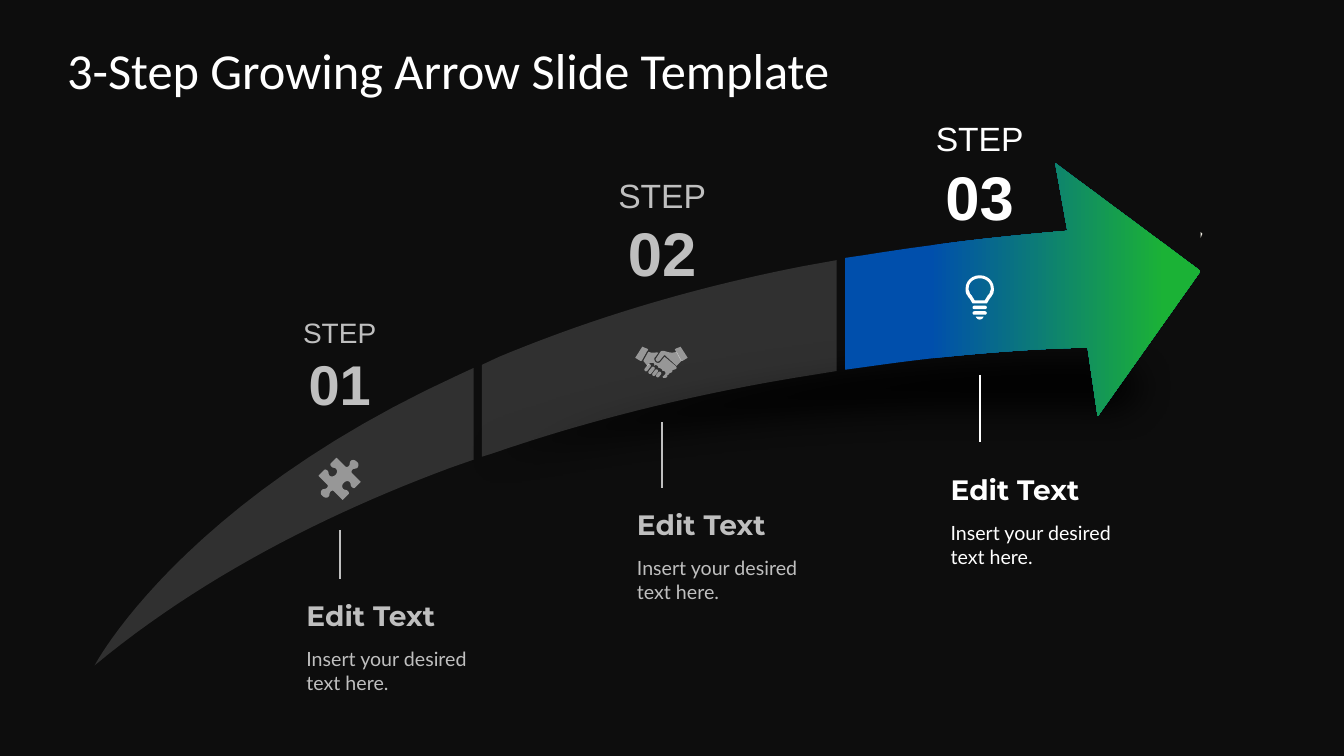
from lxml import etree
from pptx import Presentation
from pptx.dml.color import RGBColor
from pptx.enum.shapes import MSO_CONNECTOR, MSO_SHAPE
from pptx.enum.text import MSO_ANCHOR as ANCHOR, MSO_AUTO_SIZE as AUTO, PP_ALIGN as ALIGN
from pptx.oxml.ns import qn
from pptx.util import Pt

BACKGROUND = RGBColor(0x0D, 0x0D, 0x0D)
BLACK = RGBColor(0x00, 0x00, 0x00)
WHITE = RGBColor(0xFF, 0xFF, 0xFF)
GRAY = RGBColor(0xBF, 0xBF, 0xBF)
CREAM = RGBColor(0xEE, 0xEC, 0xE1)
BLUE = RGBColor(0x00, 0x4F, 0xAC)
GREEN = RGBColor(0x1B, 0xB2, 0x36)


def flatten(*segments):
    """Turn (x, y) points and (x1, y1, x2, y2, x, y) Bezier curves into points."""
    points = []
    for seg in segments:
        if len(seg) == 2:
            points.append(seg)
            continue
        x0, y0 = points[-1]
        x1, y1, x2, y2, x3, y3 = seg
        steps = 24 if abs(x3 - x0) > 40 else 6
        for i in range(1, steps + 1):
            t = i / steps
            u = 1 - t
            a, b, c, d = u ** 3, 3 * u * u * t, 3 * u * t * t, t ** 3
            points.append((a * x0 + b * x1 + c * x2 + d * x3,
                           a * y0 + b * y1 + c * y2 + d * y3))
    return points


def paint(sp, color, opacity):
    """Fill with one colour, or with a gradient for a list of two colours."""
    sp.shadow.inherit = False
    sp.line.fill.background()
    if isinstance(color, list):
        sp.fill.gradient()
        sp.fill.gradient_angle = 0
        for stop, position, c in zip(sp.fill.gradient_stops, (0.24, 0.9), color):
            stop.position = position
            stop.color.rgb = c
        return
    sp.fill.solid()
    sp.fill.fore_color.rgb = color
    if opacity < 100:
        rgb = sp._element.spPr.find(".//" + qn("a:srgbClr"))
        etree.SubElement(rgb, qn("a:alpha"), val=str(opacity * 1000))


prs = Presentation()
prs.slide_width, prs.slide_height = Pt(960), Pt(540)
slide = prs.slides.add_slide(prs.slide_layouts[5])
slide.background.fill.solid()
slide.background.fill.fore_color.rgb = BACKGROUND
shapes = slide.shapes

# Title
title = shapes.title
title.left, title.top, title.width, title.height = Pt(48), Pt(21.6), Pt(864), Pt(56)
tf = title.text_frame
frame = dict(margin_left=0, margin_right=0, margin_top=0, margin_bottom=0,
             word_wrap=True, auto_size=AUTO.NONE, vertical_anchor=ANCHOR.MIDDLE)
for key, value in frame.items():
    setattr(tf, key, value)
p = tf.paragraphs[0]
p.alignment = ALIGN.LEFT
r = p.add_run()
r.text = "3-Step Growing Arrow Slide Template"
for key, value in dict(name="Calibri", size=Pt(36), bold=False).items():
    setattr(r.font, key, value)
r.font.color.rgb = WHITE

# Growing arrow: shadow, three segments and a small mark past the tip
arrow_shadow = flatten(
    (54, 485.3), (54, 485.3, 237.6, 222.5, 771.8, 231.8),
    (771.8, 217.4, 767.5, 203.8, 768.2, 189.4), (865.4, 271.4), (782.6, 367.2),
    (779.8, 317.5), (779.8, 317.5, 298.8, 290.2, 54, 485.3))
arrow_head = flatten(
    (753.8, 116.6), (857.5, 193.7), (784.1, 297.4), (776.9, 248.4),
    (776.9, 248.4, 715, 248.4, 623.5, 261.4), (603.4, 264.2), (603.4, 184.3),
    (617.8, 182.2), (662.4, 175, 710.6, 169.2, 762.5, 164.9))
arrow_middle = flatten(
    (597.6, 185.8), (597.6, 265), (575.3, 268.6),
    (508.3, 279.4, 430.6, 296.6, 351.4, 324), (344.2, 326.2), (344.2, 260.6),
    (356.4, 254.9), (416.9, 229.7, 488.9, 206.6, 573.8, 190.1))
arrow_tail = flatten(
    (338.4, 262.8), (338.4, 328.3), (321.8, 334.1),
    (232.6, 367.2, 143.3, 412.6, 67.7, 475.2), (67.7, 475.2, 128.9, 358.6, 327.6, 267.8))
tip_mark = [(857.5, 165.6), (858.9, 167), (857.5, 169.9)]

# Icons, drawn around their own origin
puzzle_half = flatten(
    (6, 11), (3, 11, 1, 7, 4, 4), (7, 1, 11, 2, 11, 6), (11, 8, 14, 10, 15, 9),
    (21, 3), (12, -6), (11, -8, 13, -10, 15, -10), (19, -10, 20, -15, 17, -17),
    (14, -20, 10, -19, 10, -15), (10, -13, 8, -11, 6, -12), (-3, -21), (-9, -15),
    (-10, -14, -8, -11, -6, -11))
puzzle = puzzle_half + [(-x, -y) for x, y in puzzle_half]
cuff = flatten((-26, -5), (-21, -2), (-20, -2, -19, -2, -19, -3), (-14, -12),
               (-13, -13, -13, -13, -14, -14), (-19, -16))
lower_hand = flatten(
    (14, 3), (3, -6), (-1, -1), (-1, -1, -2, 0, -3, 0), (-4, 0, -5, 0, -6, -1),
    (-7, -2, -8, -5, -6, -6), (-3, -10), (-5, -11, -9, -9, -13, -11), (-18, -2),
    (-14, 3), (-12, 1), (-12, 0, -11, 0, -10, 0), (-8, 0), (-7, 1, -7, 2, -7, 3),
    (-6, 2), (-5, 2, -4, 3, -4, 3), (-3, 4, -3, 5, -3, 5), (-2, 5), (0, 6),
    (0, 6, 1, 7, 1, 8), (3, 8), (3, 9, 4, 9, 4, 10), (4, 11, 4, 11, 3, 12),
    (1, 14), (2, 15), (3, 15), (5, 15, 6, 14, 6, 12), (7, 12, 8, 11, 8, 10),
    (10, 10, 11, 9, 11, 7), (13, 7, 15, 6, 15, 5), (15, 4, 14, 3, 14, 3))
upper_hand = flatten(
    (15, -11), (10, -9, 6, -11, 2, -12), (1, -12, 0, -12, -1, -11), (-5, -5),
    (-6, -4, -6, -3, -5, -2), (-5, -1, -3, -1, -2, -2), (3, -8), (15, 3), (20, -2))
glass_half = flatten(
    (0, -30), (-8, -30, -14, -24, -14, -17), (-14, -16), (-14, -15, -14, -13, -13, -11),
    (-12, -10, -12, -9, -11, -8), (-9, -6, -8, -3, -7, -2), (-6, -2))
hollow_half = flatten(
    (0, -27), (-6, -27, -11, -23, -11, -17), (-11, -16), (-11, -15, -10, -14, -10, -13),
    (-10, -12, -9, -11, -8, -10), (-7, -8, -6, -7, -5, -5))
cap_half = flatten((0, 14), (-2, 14, -3, 13, -4, 11))
glass, hollow, cap = [half + [(-x, y) for x, y in reversed(half)]
                      for half in (glass_half, hollow_half, cap_half)]

# Origin, points per unit, colour, opacity, contours
ARROW = (0, 0, 1)
PUZZLE = (242.6, 342, 0.72)
HANDS = (472.5, 259.2, 0.72)
BULB = (699.8, 218.2, 0.72)
outlines = [
    (ARROW, BLACK, 91, [arrow_shadow]),
    (ARROW, [BLUE, GREEN], 100, [arrow_head]),
    (ARROW, GRAY, 20, [arrow_middle]),
    (ARROW, GRAY, 20, [arrow_tail]),
    (ARROW, CREAM, 100, [tip_mark]),
    (PUZZLE, WHITE, 50, [puzzle]),
    (HANDS, WHITE, 50, [cuff]),
    (HANDS, WHITE, 50, [[(-x, y) for x, y in cuff]]),
    (HANDS, WHITE, 50, [lower_hand]),
    (HANDS, WHITE, 50, [upper_hand]),
    (BULB, WHITE, 100, [glass, hollow]),
    (BULB, WHITE, 100, [cap]),
]
for (left, top, unit), color, opacity, contours in outlines:
    builder = None
    for contour in contours:
        pts = [(Pt(left + x * unit), Pt(top + y * unit)) for x, y in contour]
        if builder is None:
            builder = shapes.build_freeform(*pts[0], scale=1.0)
        else:
            builder.move_to(*pts[0])
        builder.add_line_segments(pts[1:], close=True)
    sp = builder.convert_to_shape()
    paint(sp, color, opacity)
    if contours[0] is arrow_shadow:
        effects = sp._element.spPr.find(qn("a:effectLst"))
        etree.SubElement(effects, qn("a:softEdge"), rad=str(Pt(25)))

# Rounded bars: four fingers and two bulb threads (centre, length, thickness, angle)
bars = [(470.5, 267.5, 4.6, 2.4, -52, 50), (468, 266.2, 5.4, 2.4, -52, 50),
        (465.4, 264.5, 6, 2.4, -52, 50), (462.6, 262.6, 6, 2.4, -52, 50),
        (699.8, 219.6, 10.2, 2.5, 0, 100), (699.8, 223.6, 10.2, 2.5, 0, 100)]
for x, y, length, thick, angle, opacity in bars:
    sp = shapes.add_shape(MSO_SHAPE.ROUNDED_RECTANGLE, Pt(x - length / 2),
                          Pt(y - thick / 2), Pt(length), Pt(thick))
    sp.adjustments[0] = 0.5
    sp.rotation = angle
    paint(sp, WHITE, opacity)

# Steps: number, colour, axis x, label top, sizes, line ends, text left and top
steps = [("01", GRAY, 242.6, 225.4, 20, 40, 378.7, 413.3, 218.9, 423.4),
         ("02", GRAY, 473, 129.6, 24, 44, 301.7, 348.5, 455, 358.6),
         ("03", WHITE, 699.8, 89.3, 24, 44, 267.8, 315.4, 679, 333.4)]
for number, color, axis, label_top, small, large, y1, y2, left, top in steps:
    line = shapes.add_connector(MSO_CONNECTOR.STRAIGHT, Pt(axis), Pt(y1), Pt(axis), Pt(y2))
    line.line.color.rgb = color
    line.line.width = Pt(1.5)
    etree.SubElement(line._element.spPr, qn("a:effectLst"))

    texts = [
        ((axis - 49.7, label_top, 99.4, 72), 0, ANCHOR.MIDDLE, AUTO.NONE, ALIGN.CENTER,
         [("STEP", "Arial", small, False), (number, "Arial", large, True)]),
        ((left, top, 132.5, 31.7), 3.6, ANCHOR.BOTTOM, AUTO.SHAPE_TO_FIT_TEXT, ALIGN.LEFT,
         [("Edit Text", "Montserrat", 20, True)]),
        ((left, top + 35.2, 132.5, 41), 3.6, ANCHOR.TOP, AUTO.SHAPE_TO_FIT_TEXT, ALIGN.LEFT,
         [("Insert your desired text here.", "Lato", 14, False)]),
    ]
    for box, inset, anchor, auto, align, lines in texts:
        tf = shapes.add_textbox(*map(Pt, box)).text_frame
        frame = dict(margin_left=0, margin_right=0, margin_top=Pt(inset),
                     margin_bottom=Pt(inset), word_wrap=True, auto_size=auto,
                     vertical_anchor=anchor)
        for key, value in frame.items():
            setattr(tf, key, value)
        for i, (text, font, size, bold) in enumerate(lines):
            p = tf.add_paragraph() if i else tf.paragraphs[0]
            p.alignment = align
            r = p.add_run()
            r.text = text
            for key, value in dict(name=font, size=Pt(size), bold=bold).items():
                setattr(r.font, key, value)
            r.font.color.rgb = color

prs.save("out.pptx")
